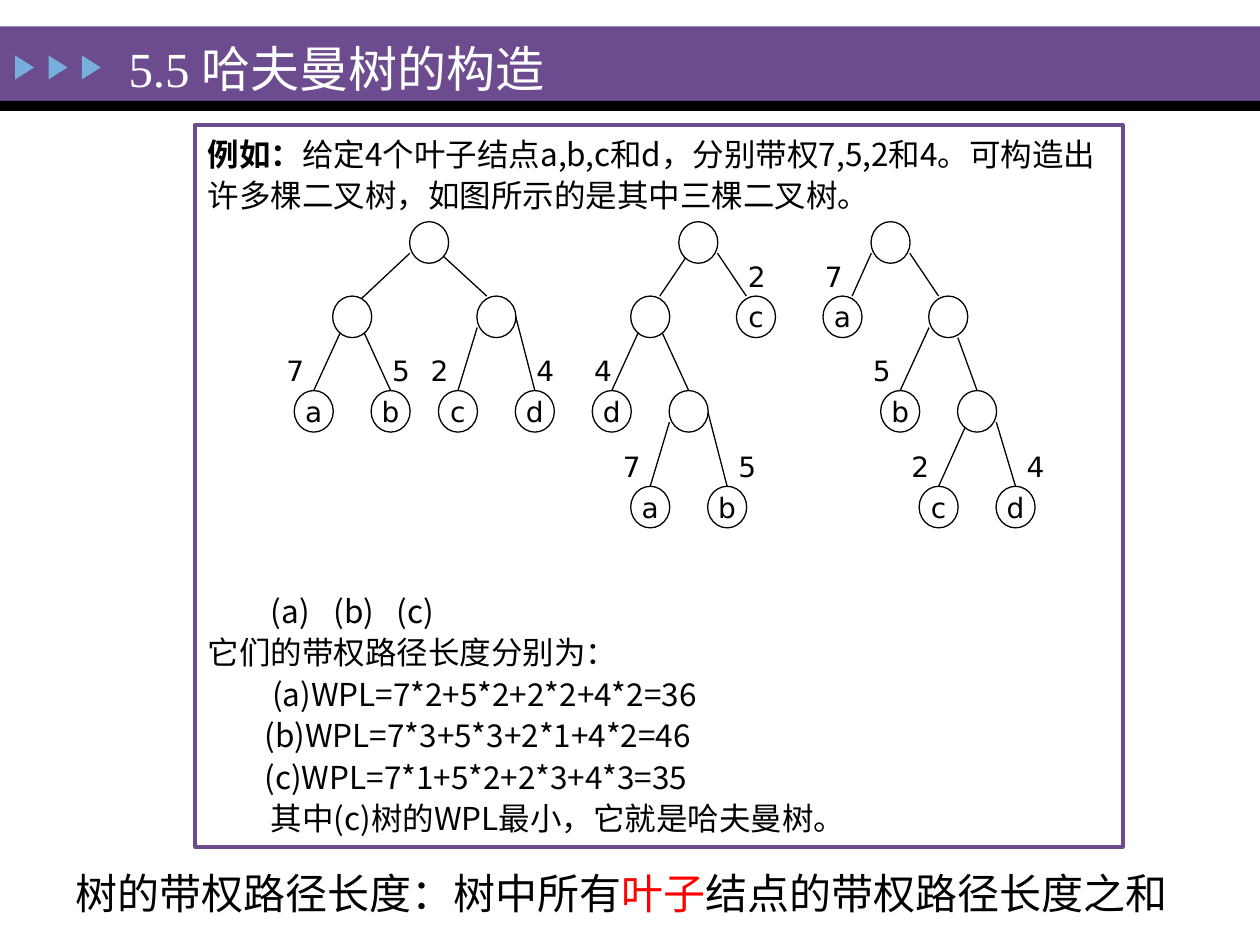
"""Builds the slide on constructing a Huffman tree."""
from typing import NamedTuple

import pptx
import pptx.dml.color
import pptx.enum.shapes
import pptx.enum.text
import pptx.oxml.ns
import pptx.oxml.xmlchemy
import pptx.util

WIDTH, HEIGHT = 10, 7.5
COLUMN = 5.57 / 73
FIRST_CENTRE = 2.49
ROW_TOPS = (1.76, 2.35, 3.1, 3.86)
NODE_WIDTH, NODE_HEIGHT = 0.31, 0.33
WHITE, BLACK, PURPLE, BLUE, RED = "FEFFFF", "000000", "6C4C8F", "76AEDD", "FF0000"
CHINESE, LATIN, SERIF = "Noto Sans CJK SC", "DejaVu Sans", "Times New Roman"
SHAPES = pptx.enum.shapes.MSO_SHAPE
ALIGN = pptx.enum.text.PP_ALIGN
ANCHOR = pptx.enum.text.MSO_ANCHOR


class Node(NamedTuple):
    column: int
    row: int
    label: str = ""


class Edge(NamedTuple):
    start: int
    end: int
    row: int
    drop: float = 0.25
    end_drop: float = 0


class Weight(NamedTuple):
    column: int
    row: int
    value: str


class Line(NamedTuple):
    text: str
    indent: float = 0
    before: float = 0
    tabs: tuple = ()


NODES = (
    Node(12, 0), Node(4, 1), Node(19, 1),
    Node(0, 2, "a"), Node(8, 2, "b"), Node(15, 2, "c"), Node(23, 2, "d"),
    Node(40, 0), Node(35, 1), Node(46, 1, "c"),
    Node(31, 2, "d"), Node(39, 2), Node(35, 3, "a"), Node(43, 3, "b"),
    Node(60, 0), Node(55, 1, "a"), Node(66, 1),
    Node(61, 2, "b"), Node(69, 2), Node(65, 3, "c"), Node(73, 3, "d"),
)
EDGES = (
    Edge(12, 18, 0, drop=0.17), Edge(10, 3, 0, end_drop=0.16), Edge(3, 0, 1),
    Edge(5, 8, 1), Edge(17, 15, 1), Edge(21, 23, 1, drop=0.16),
    Edge(42, 45, 0), Edge(39, 36, 0), Edge(34, 31, 1),
    Edge(36, 39, 1), Edge(37, 35, 2), Edge(41, 43, 2, drop=0.17),
    Edge(62, 65, 0), Edge(58, 56, 0), Edge(64, 61, 1),
    Edge(67, 69, 1, drop=0.33), Edge(68, 65, 2), Edge(71, 73, 2),
)
WEIGHTS = (
    Weight(-4, 2, "7"), Weight(7, 2, "5"), Weight(11, 2, "2"), Weight(22, 2, "4"),
    Weight(44, 1, "2"), Weight(28, 2, "4"), Weight(31, 3, "7"), Weight(43, 3, "5"),
    Weight(52, 1, "7"), Weight(57, 2, "5"), Weight(61, 3, "2"), Weight(73, 3, "4"),
)
LINES = (
    Line("\t(a)\t(b)\t(c)", before=213.5, tabs=(0.68, 1.83, 2.99)),
    Line("它们的带权路径长度分别为："),
    Line("(a)WPL=7*2+5*2+2*2+4*2=36", 0.51),
    Line("(b)WPL=7*3+5*3+2*1+4*2=46", 0.45),
    Line("(c)WPL=7*1+5*2+2*3+4*3=35", 0.45),
    Line("其中(c)树的WPL最小，它就是哈夫曼树。", 0.5),
)


def inches(*values: float) -> list:
    return [pptx.util.Inches(value) for value in values]


def colour(value: str):
    return pptx.dml.color.RGBColor.from_string(value)


def centre(column: int) -> float:
    return FIRST_CENTRE + column * COLUMN


def place(shape, *frame: float) -> None:
    shape.left, shape.top, shape.width, shape.height = inches(*frame)


def add_child(parent, tag: str, **attributes: str):
    child = parent.makeelement(pptx.oxml.ns.qn(tag), attributes)
    parent.append(child)
    return child


def add_span(para, text: str, size: float, font: str, fill: str = BLACK, bold: bool = False) -> None:
    span = para.add_run()
    span.text = text
    span.font.size = pptx.util.Pt(size)
    span.font.name = font
    span.font.bold = bold
    span.font.color.rgb = colour(fill)
    add_child(span.font._element, "a:ea", typeface=CHINESE)


def add_filled(page, kind, frame: tuple, fill: str, outline: str = ""):
    shape = page.shapes.add_shape(kind, *inches(*frame))
    shape.shadow.inherit = False
    shape.fill.solid()
    shape.fill.fore_color.rgb = colour(fill)
    if outline:
        shape.line.color.rgb = colour(outline)
        shape.line.width = pptx.util.Pt(0.75)
    else:
        shape.line.fill.background()
    return shape


def draw_banner(page) -> None:
    add_filled(page, SHAPES.RECTANGLE, (0, 0.21, WIDTH, 0.59), PURPLE)
    add_filled(page, SHAPES.RECTANGLE, (0, 0.8, WIDTH, 0.08), BLACK)
    for index in range(3):
        arrow = add_filled(page, SHAPES.ISOSCELES_TRIANGLE, (0.1 + index * 0.265, 0.46, 0.19, 0.15), BLUE)
        arrow.rotation = 90
    title = page.shapes.title
    place(title, 0.92, 0.25, 3.66, 0.57)
    frame = title.text_frame
    frame.auto_size = pptx.enum.text.MSO_AUTO_SIZE.NONE
    frame.vertical_anchor = ANCHOR.MIDDLE
    para = frame.paragraphs[0]
    para.alignment = ALIGN.LEFT
    add_span(para, "5.5 哈夫曼树的构造", 28, SERIF, WHITE)
    page.shapes._spTree.append(title.element)


def format_body(para, line: Line) -> None:
    properties = para._element.get_or_add_pPr()
    properties.set("marL", str(pptx.util.Inches(line.indent)))
    properties.set("indent", "0")
    para.line_spacing = 1.1
    para.space_before = pptx.util.Pt(line.before)
    add_child(properties, "a:buNone")
    if line.tabs:
        stops = add_child(properties, "a:tabLst")
        for stop in line.tabs:
            add_child(stops, "a:tab", pos=str(pptx.util.Inches(stop)), algn="l")


def write_example(page) -> None:
    box = page.placeholders[1]
    place(box, 1.55, 0.99, 7.36, 5.73)
    box.fill.solid()
    box.fill.fore_color.rgb = colour(WHITE)
    box.line.color.rgb = colour(PURPLE)
    box.line.width = pptx.util.Pt(2.25)
    frame = box.text_frame
    frame.auto_size = pptx.enum.text.MSO_AUTO_SIZE.NONE
    para = frame.paragraphs[0]
    format_body(para, Line(""))
    add_span(para, "例如：", 18, CHINESE, bold=True)
    add_span(para, "给定4个叶子结点a,b,c和d，分别带权7,5,2和4。可构造出许多棵二叉树，如图所示的是其中三棵二叉树。", 18, CHINESE)
    for line in LINES:
        para = frame.add_paragraph()
        format_body(para, line)
        add_span(para, line.text, 18, CHINESE)


def draw_edge(page, edge: Edge) -> None:
    ends = inches(centre(edge.start), ROW_TOPS[edge.row] + edge.drop,
                  centre(edge.end), ROW_TOPS[edge.row + 1] + edge.end_drop)
    branch = page.shapes.add_connector(pptx.enum.shapes.MSO_CONNECTOR.STRAIGHT, *ends)
    branch.line.color.rgb = colour(BLACK)
    branch.line.width = pptx.util.Pt(0.75)
    add_child(branch.element.spPr, "a:effectLst")


def draw_node(page, node: Node) -> None:
    frame = (centre(node.column) - NODE_WIDTH / 2, ROW_TOPS[node.row], NODE_WIDTH, NODE_HEIGHT)
    circle = add_filled(page, SHAPES.OVAL, frame, WHITE, BLACK)
    if node.label:
        text = circle.text_frame
        text.word_wrap = False
        text.vertical_anchor = ANCHOR.MIDDLE
        text.paragraphs[0].alignment = ALIGN.CENTER
        add_span(text.paragraphs[0], node.label, 16, LATIN)


def add_text_box(page, *frame: float):
    box = page.shapes.add_textbox(*inches(*frame))
    box.text_frame.word_wrap = True
    return box.text_frame.paragraphs[0]


def draw_weight(page, weight: Weight) -> None:
    para = add_text_box(page, centre(weight.column) - 0.01, ROW_TOPS[weight.row] - 0.34, NODE_WIDTH, 0.36)
    add_span(para, weight.value, 16, LATIN)


def write_summary(page) -> None:
    para = add_text_box(page, 0.18, 6.76, 9.5, 0.54)
    para.alignment = ALIGN.CENTER
    para.line_spacing = 1.2
    for text, fill in (("树的带权路径长度：树中所有", BLACK), ("叶子", RED), ("结点的带权路径长度之和", BLACK)):
        add_span(para, text, 24, CHINESE, fill)


def main() -> None:
    deck = pptx.Presentation()
    deck.slide_width, deck.slide_height = inches(WIDTH, HEIGHT)
    page = deck.slides.add_slide(deck.slide_layouts[1])
    page.background.fill.solid()
    page.background.fill.fore_color.rgb = colour(WHITE)
    draw_banner(page)
    write_summary(page)
    write_example(page)
    for draw, items in ((draw_edge, EDGES), (draw_node, NODES), (draw_weight, WEIGHTS)):
        for item in items:
            draw(page, item)
    deck.save("out.pptx")


if __name__ == "__main__":
    main()
